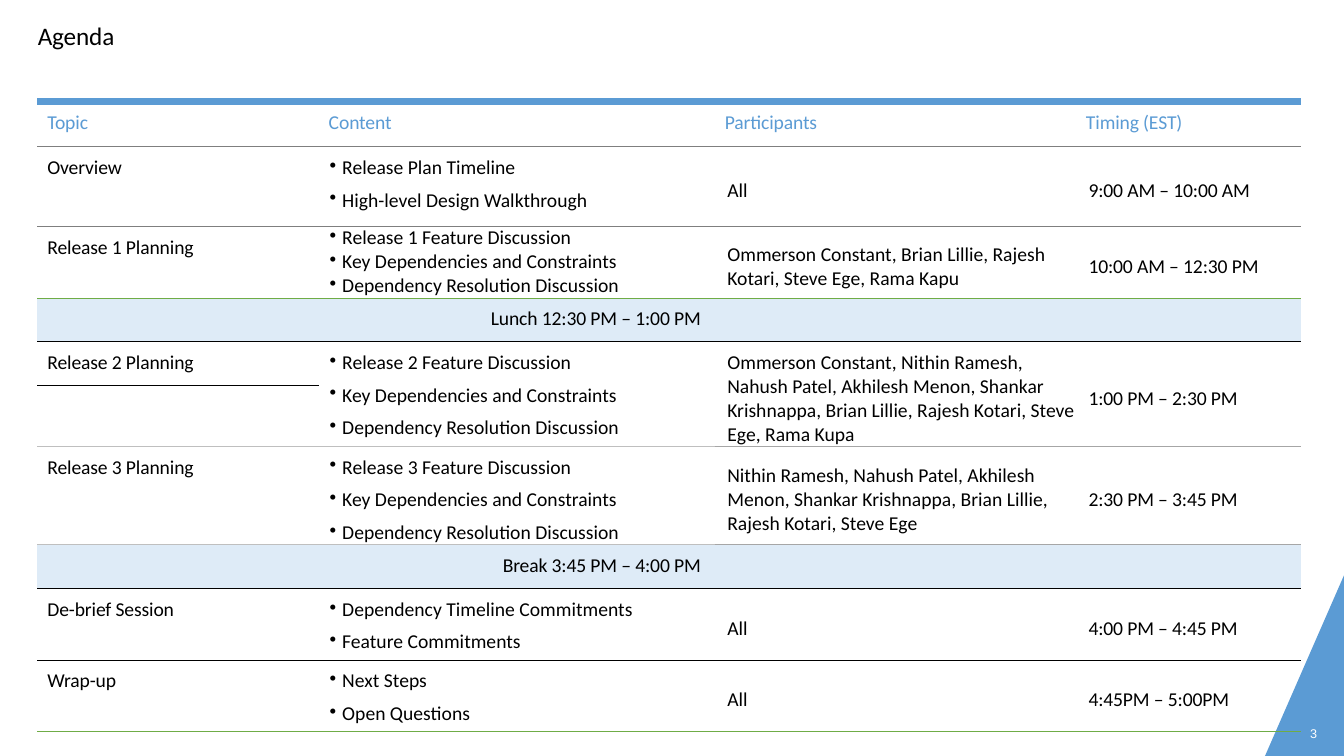
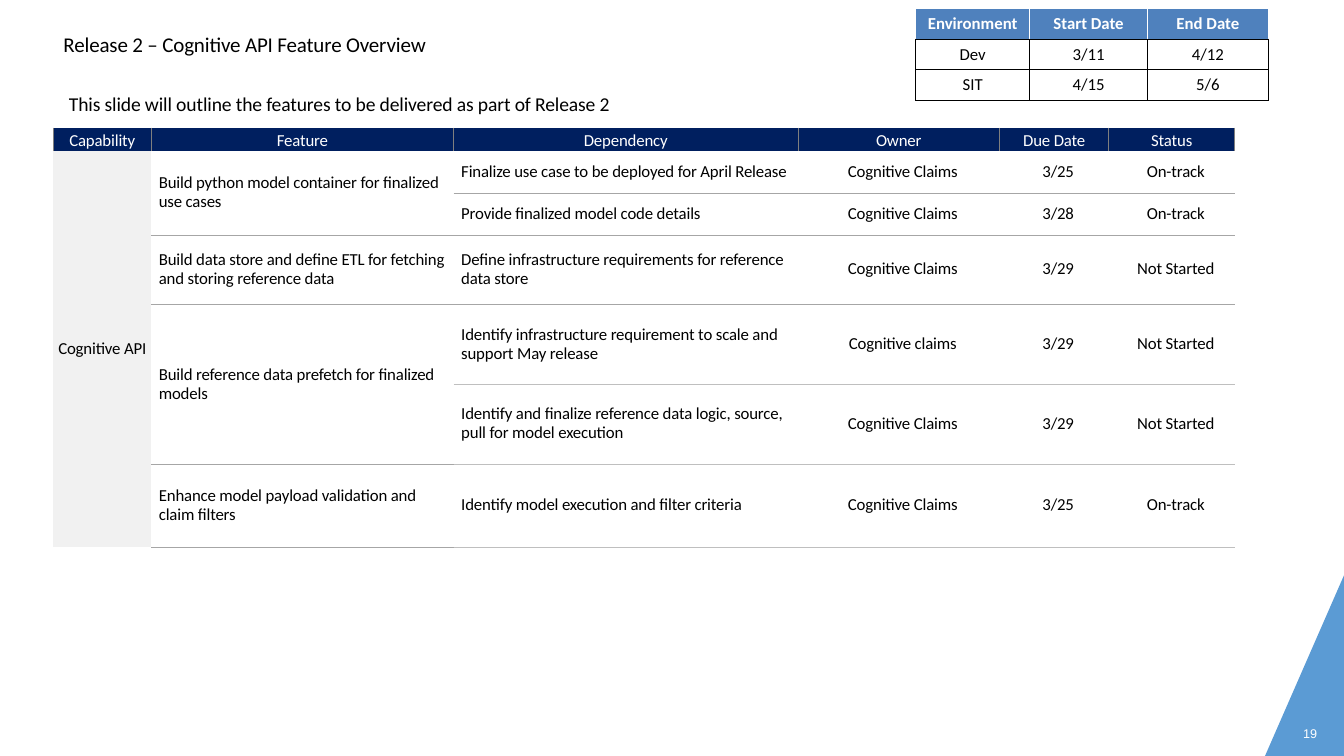
from itertools import accumulate, product

from lxml.etree import SubElement as Sub
from pptx import Presentation as Deck
from pptx.dml.color import RGBColor as RGB
from pptx.enum.text import MSO_ANCHOR as Anchor, PP_ALIGN as Align
from pptx.oxml.ns import qn
from pptx.util import Emu, Pt

STEP = 76200
COLS, ROWS = 160, 90

BLACK = RGB(0x00, 0x00, 0x00)
WHITE = RGB(0xFF, 0xFF, 0xFF)
BLUE = RGB(0x5B, 0x9B, 0xD4)
STEEL = RGB(0x4F, 0x81, 0xBD)
NAVY = RGB(0x00, 0x1F, 0x5F)
ICE = RGB(0xDE, 0xEB, 0xF7)
MIST = RGB(0xF1, 0xF1, 0xF1)
GREEN = RGB(0x6F, 0xAC, 0x46)
GREY = RGB(0x7F, 0x7F, 0x7F)
SILVER = RGB(0xA6, 0xA6, 0xA6)
PALE = RGB(0xBF, 0xBF, 0xBF)

PLAIN_GRID = "{2D5ABB26-0587-4C30-8999-92F81FD0307C}"
SIDES = {qn(f"a:ln{side}"): rank for rank, side in enumerate("LRTB")}


def grid(n):
    return Emu(round(n * STEP))


def inset(top=0, side=0, foot=0):
    return {"margin_left": grid(side), "margin_right": grid(side),
            "margin_top": grid(top), "margin_bottom": grid(foot)}


def form(size, color=BLACK, box=None, para=None, left=0, hang=0, bullet=None,
         tight=True, bold=False, face="Calibri"):
    return {
        "box": box or inset(),
        "para": {"space_before": Pt(0), **(para or {})},
        "indent": {"marL": grid(left), "indent": grid(hang)},
        "font": {"size": Pt(size), "name": face, "bold": bold},
        "color": color, "bullet": bullet, "tight": tight,
    }


MID = {"vertical_anchor": Anchor.MIDDLE}
TOP = {"vertical_anchor": Anchor.TOP}
LEFT = {"alignment": Align.LEFT}
CENTER = {"alignment": Align.CENTER}
RIGHT = {"alignment": Align.RIGHT}
GAP = {"space_before": Pt(6.3)}
FIXED = {"line_spacing": Pt(13.6)}
DROP = inset(1.1)

TITLE = form(18, box=inset() | TOP, para=LEFT)
TITLE_2 = form(15, box=inset() | TOP, para=LEFT)
NOTE = form(14, box=inset() | TOP, para=LEFT, bullet="")
NUMBER = form(9, WHITE, para=RIGHT, face="Arial")

HEAD = form(14, BLUE, DROP, left=1.2)
TOPIC = form(14, box=DROP, para=GAP, left=1.2)
POINTS = form(14, box=DROP, para=GAP, left=2.8, hang=-1.5, bullet="•", tight=False)
DENSE = POINTS | {"box": inset(), "para": {"space_before": Pt(0)}}
NAMES = form(14, box=DROP | MID, left=1.5, tight=False)
TIME = NAMES | {"tight": True}
PAUSE = form(14, box=DROP | {"margin_right": grid(1.65)}, para=RIGHT)

DATE_HEAD = form(12, WHITE, inset(0.6, 1.2, 0.6), CENTER, tight=False, bold=True)
DATE = form(12, box=inset(0.6, 1.2, 0.6) | MID, para=CENTER, tight=False)
WORK_HEAD = form(12, WHITE, inset(0.3) | MID, CENTER)
WORK = form(12, box=inset() | MID, para=FIXED, left=0.9)
STATE = form(12, box=inset() | MID, para=CENTER | FIXED, left=0.96)
GROUP = form(12, box=inset() | MID, para=CENTER)


def style(item, values):
    for key, value in values.items():
        setattr(item, key, value)


def write(frame, text, look, host=None):
    style(host or frame, look["box"])
    lines = [text] if isinstance(text, str) else text
    for spot, line in enumerate(lines):
        para = frame.add_paragraph() if spot else frame.paragraphs[0]
        run = para.add_run()
        run.text = line
        style(para, look["para"])
        style(run.font, look["font"])
        run.font.color.rgb = look["color"]
        if look["tight"]:
            run.font._element.set("spc", "-10")
        props = para._p.get_or_add_pPr()
        for key, value in look["indent"].items():
            props.set(key, str(value))
        if look["bullet"]:
            Sub(props, qn("a:buChar"), char=look["bullet"])
        elif look["bullet"] == "":
            Sub(props, qn("a:buNone"))


def place(shape, spot):
    style(shape, dict(zip(("left", "top", "width", "height"), map(grid, spot))))


def hold(shape, spot, text, look):
    place(shape, spot)
    shape.text_frame.word_wrap = True
    write(shape.text_frame, text, look)


def number(slide, text):
    spot = (152, 86.4, 4.8, 2)
    hold(slide.shapes.add_textbox(0, 0, 0, 0), spot, text, NUMBER)


def wedge(deck, slide):
    pen = slide.shapes.build_freeform(COLS * 10, 685, scale=STEP / 10)
    pen.add_line_segments([(1506, ROWS * 10), (COLS * 10, ROWS * 10)])
    shape = pen.convert_to_shape()
    shape.shadow.inherit = False
    shape.fill.solid()
    shape.fill.fore_color.rgb = BLUE
    shape.line.fill.background()
    deck.slide_master.shapes.element.append(shape.element)


def edge(cell, side, color, width):
    props = cell._tc.get_or_add_tcPr()
    line = Sub(props, qn(f"a:ln{side}"), w=str(Pt(width)))
    Sub(Sub(line, qn("a:solidFill")), qn("a:srgbClr"), val=str(color))
    props[:] = sorted(props, key=lambda part: SIDES.get(part.tag, len(SIDES)))


def rule(table, row, color, width, cols=None):
    for col in cols or range(len(table.columns)):
        if row:
            edge(table.cell(row - 1, col), "B", color, width)
        if row < len(table.rows):
            edge(table.cell(row, col), "T", color, width)


def post(table, rows, color, width):
    last = len(table.columns)
    for row, col in product(rows, range(last + 1)):
        if col:
            edge(table.cell(row, col - 1), "R", color, width)
        if col < last:
            edge(table.cell(row, col), "L", color, width)


def paint(table, row, color):
    for cell in table.rows[row].cells:
        cell.fill.solid()
        cell.fill.fore_color.rgb = color


def make(slide, left, top, wide, tall):
    spot = map(grid, (left, top, sum(wide), sum(tall)))
    table = slide.shapes.add_table(len(tall), len(wide), *spot).table
    table._tbl.tblPr.find(qn("a:tableStyleId")).text = PLAIN_GRID
    style(table, {"first_row": False, "horz_banding": False})
    for col, size in zip(table.columns, wide):
        col.width = grid(size)
    for row, size in zip(table.rows, tall):
        row.height = grid(size)
    return table


def fill(table, row, texts, looks, start=0):
    for col, (text, look) in enumerate(zip(texts, looks), start):
        if text:
            cell = table.cell(row, col)
            write(cell.text_frame, text, look, cell)


def join(table, row, col, count):
    table.cell(row, col).merge(table.cell(row + count - 1, col))


def plan(release):
    return [f"Release {release} Feature Discussion",
            "Key Dependencies and Constraints",
            "Dependency Resolution Discussion"]


def agenda(slide):
    hold(slide.shapes.title, (4.5, 2.4, 60, 4), "Agenda", TITLE)
    table = make(slide, 4.44, 12.1, (33.5, 47.15, 43, 26.75),
                 (5.35, 9.5, 8.5, 5.2, 5.2, 7, 11.6, 5.2, 8.5, 8.5))
    fill(table, 0, ("Topic", "Content", "Participants", "Timing (EST)"), [HEAD] * 4)
    for col in range(1, 4):
        join(table, 4, col, 2)
    topics = {
        1: ("Overview", ["Release Plan Timeline", "High-level Design Walkthrough"],
            "All", "9:00 AM – 10:00 AM"),
        2: ("Release 1 Planning", plan(1),
            "Ommerson Constant, Brian Lillie, Rajesh Kotari, Steve Ege, Rama Kapu",
            "10:00 AM – 12:30 PM"),
        4: ("Release 2 Planning", plan(2),
            "Ommerson Constant, Nithin Ramesh, Nahush Patel, Akhilesh Menon, "
            "Shankar Krishnappa, Brian Lillie, Rajesh Kotari, Steve Ege, Rama Kupa",
            "1:00 PM – 2:30 PM"),
        6: ("Release 3 Planning", plan(3),
            "Nithin Ramesh, Nahush Patel, Akhilesh Menon, Shankar Krishnappa, "
            "Brian Lillie, Rajesh Kotari, Steve Ege", "2:30 PM – 3:45 PM"),
        8: ("De-brief Session",
            ["Dependency Timeline Commitments", "Feature Commitments"],
            "All", "4:00 PM – 4:45 PM"),
        9: ("Wrap-up", ["Next Steps", "Open Questions"], "All", "4:45PM – 5:00PM"),
    }
    for row, texts in topics.items():
        fill(table, row, texts, (TOPIC, DENSE if row == 2 else POINTS, NAMES, TIME))
    for row, text in {3: "Lunch 12:30 PM – 1:00 PM", 7: "Break 3:45 PM – 4:00 PM"}.items():
        fill(table, row, [text], [PAUSE], 1)
        paint(table, row, ICE)
    rule(table, 0, BLUE, 6)
    for row, color in {1: GREY, 2: GREY, 3: GREEN, 4: BLACK, 8: BLACK,
                       9: BLACK, 10: GREEN}.items():
        rule(table, row, color, 0.25)
    rule(table, 5, BLACK, 0.25, [0])
    rule(table, 6, PALE, 1, [0, 1])
    rule(table, 6, SILVER, 0.75, [2, 3])


def dates(slide):
    table = make(slide, 109, 1, (13.6, 14, 14.4), [3.6] * 3)
    rows = (("Environment", "Start Date", "End Date"),
            ("Dev", "3/11", "4/12"), ("SIT", "4/15", "5/6"))
    for row, texts in enumerate(rows):
        fill(table, row, texts, [DATE if row else DATE_HEAD] * 3)
    paint(table, 0, STEEL)
    rule(table, 0, WHITE, 1)
    post(table, [0], WHITE, 1)
    post(table, [1, 2], BLACK, 0.75)
    for row in range(1, 4):
        rule(table, row, BLACK, 0.75)


def work(slide):
    table = make(slide, 6.36, 15.2, (11.65, 36, 41, 24, 13, 15),
                 (2.8, 5, 5, 8.3, 9.5, 9.5, 9.85))
    heads = ("Capability", "Feature", "Dependency", "Owner", "Due Date", "Status")
    fill(table, 0, heads, [WORK_HEAD] * 6)
    paint(table, 0, NAVY)
    post(table, [0], GREY, 0.75)
    join(table, 1, 0, 6)
    fill(table, 1, ["Cognitive API"], [GROUP])
    table.cell(1, 0).fill.solid()
    table.cell(1, 0).fill.fore_color.rgb = MIST
    tasks = (
        ("Finalize use case to be deployed for April Release",
         "Cognitive Claims", "3/25", "On-track"),
        ("Provide finalized model code details",
         "Cognitive Claims", "3/28", "On-track"),
        ("Define infrastructure requirements for reference data store",
         "Cognitive Claims", "3/29", "Not Started"),
        ("Identify infrastructure requirement to scale and support May release",
         "Cognitive claims", "3/29", "Not Started"),
        ("Identify and finalize reference data logic, source, pull for model execution",
         "Cognitive Claims", "3/29", "Not Started"),
        ("Identify model execution and filter criteria",
         "Cognitive Claims", "3/25", "On-track"),
    )
    for row, texts in enumerate(tasks, 1):
        fill(table, row, texts, (WORK, STATE, STATE, STATE), 2)
        rule(table, row + 1, SILVER if row < 4 else PALE, 0.75, range(2, 6))
    parts = (("Build python model container for finalized use cases", 2),
             ("Build data store and define ETL for fetching and storing reference data", 1),
             ("Build reference data prefetch for finalized models", 2),
             ("Enhance model payload validation and claim filters", 1))
    ends = accumulate((count for text, count in parts), initial=1)
    for row, (text, count) in zip(ends, parts):
        if count > 1:
            join(table, row, 1, count)
        fill(table, row, [text], [WORK], 1)
        rule(table, row + count, SILVER, 0.75, [1])


def release(slide):
    hold(slide.shapes.title, (7.56, 3.8, 80, 3.5),
         "Release 2 – Cognitive API Feature Overview", TITLE_2)
    hold(slide.placeholders[1], (8.2, 10.95, 80, 3.2),
         "This slide will outline the features to be delivered as part of Release 2", NOTE)
    dates(slide)
    work(slide)


def main():
    deck = Deck()
    style(deck, {"slide_width": grid(COLS), "slide_height": grid(ROWS)})
    for build, layout, page in ((agenda, 5, "3"), (release, 1, "19")):
        slide = deck.slides.add_slide(deck.slide_layouts[layout])
        if build is agenda:
            wedge(deck, slide)
        build(slide)
        number(slide, page)
    deck.save("out.pptx")


if __name__ == "__main__":
    main()
